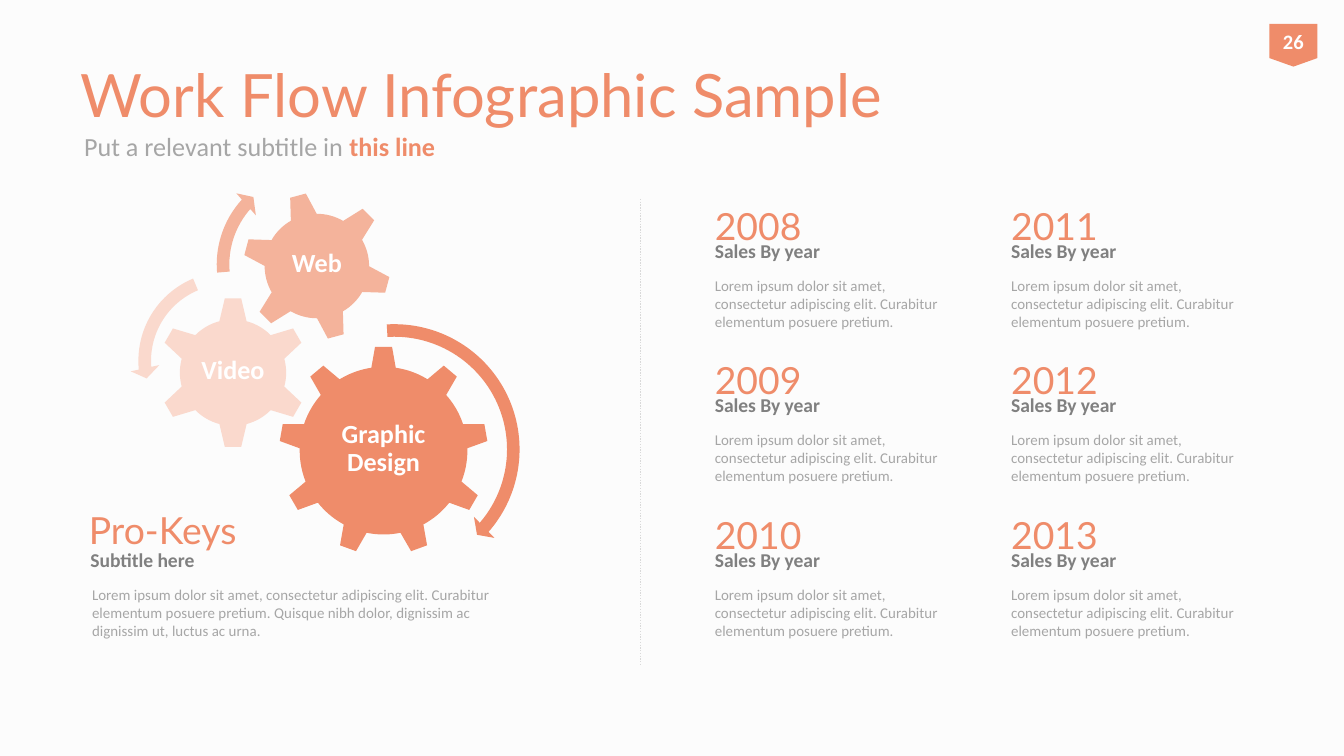
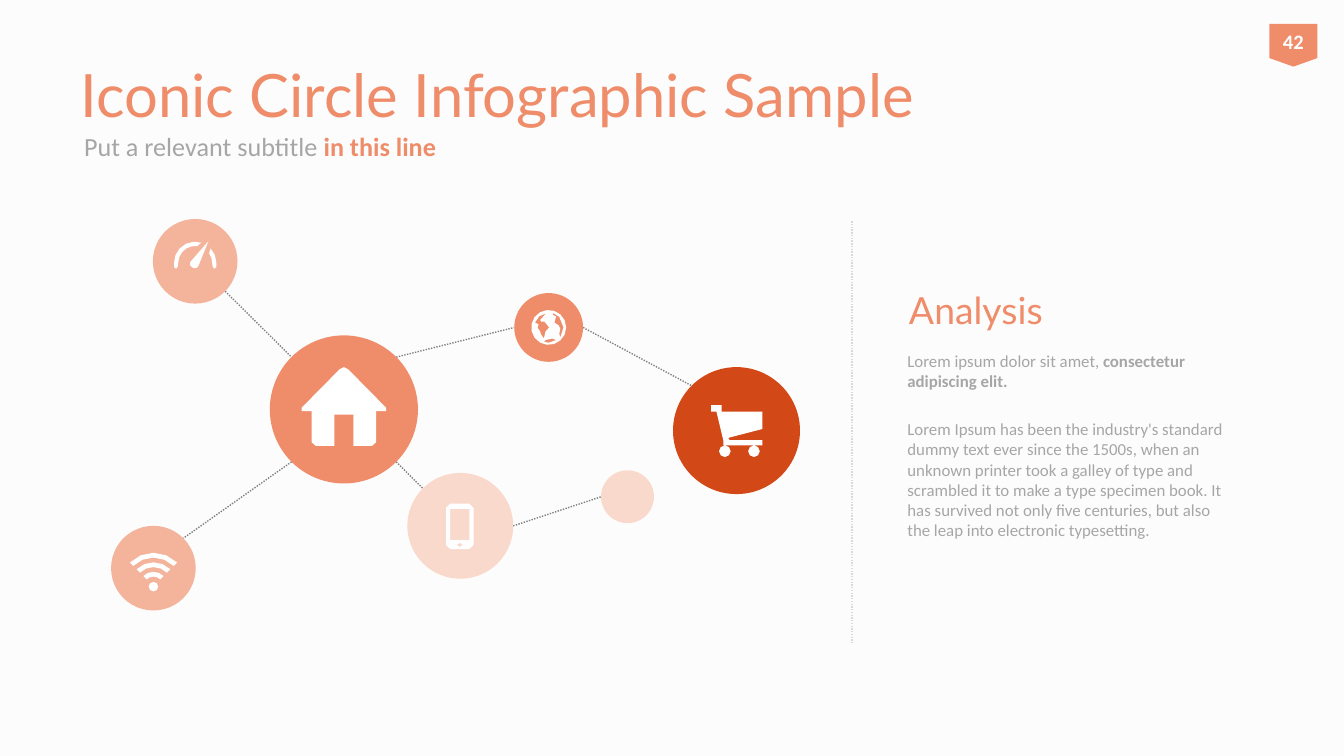
from math import ceil, cos, radians, sin

from lxml.etree import SubElement
from pptx import Presentation
from pptx.dml.color import RGBColor
from pptx.enum.dml import MSO_LINE
from pptx.enum.shapes import MSO_CONNECTOR, MSO_SHAPE
from pptx.enum.text import MSO_ANCHOR, PP_ALIGN
from pptx.oxml.ns import qn
from pptx.util import Cm, Pt

COLORS = {
    "paper": "FCFCFC", "white": "FFFFFF", "coral": "EF8C6A", "salmon": "F4B39B",
    "blush": "FAD9CD", "rust": "D34817", "text": "A6A6A6", "dark": "808080",
    "divider": "D9D9D9",
}
RGB = {name: RGBColor.from_string(value) for name, value in COLORS.items()}


def write(shape, paragraphs, size, color, font="Calibri", bold=False, emphasis=None,
          align=PP_ALIGN.LEFT, anchor=MSO_ANCHOR.TOP, inset=None):
    """Fill a shape with paragraphs; a paragraph is a plain run and maybe a bold one."""
    frame = shape.text_frame
    frame.word_wrap = True
    frame.vertical_anchor = anchor
    if inset is not None:
        frame.margin_left = frame.margin_right = Cm(inset)
        frame.margin_top = frame.margin_bottom = Cm(inset)
    for number, (plain, *strong) in enumerate(paragraphs):
        paragraph = frame.add_paragraph() if number else frame.paragraphs[0]
        if number:
            paragraph.space_before = Pt(15)
        paragraph.alignment = align
        paragraph.font.size = Pt(size)
        paragraph.font.name = font
        paragraph.font.bold = bold
        paragraph.font.color.rgb = RGB[color]
        paragraph.add_run().text = plain
        for words in strong:
            run = paragraph.add_run()
            run.text = words
            run.font.bold = True
            run.font.color.rgb = RGB[emphasis or color]
    return frame


def arc(x, y, radius, start, end):
    """Points along an arc, in degrees clockwise from the right."""
    step = 45 if radius < 0.15 else 24
    steps = max(1, ceil(abs(end - start) / step))
    angles = [radians(start + (end - start) * i / steps) for i in range(steps + 1)]
    return [(x + radius * cos(a), y + radius * sin(a)) for a in angles]


prs = Presentation()
prs.slide_width, prs.slide_height = Cm(25.4), Cm(14.29)
painted = []  # (shape, colour) pairs, all filled at the end
lines = []  # (slide, start, end, colour)

# Frame shared by both slides
frames = [
    ("Work Flow Infographic Sample", "Put a relevant subtitle in ", "this line",
     "26", 15.85, 8.81, (12.1, 3.76, 12.55)),
    ("Iconic Circle Infographic Sample", "Put a relevant subtitle ", "in this line",
     "42", 22.86, 22.86, (16.1, 4.18, 12.17)),
]
slides = []
for title, subtitle, ending, page, title_width, subtitle_width, divider in frames:
    slide = prs.slides.add_slide(prs.slide_layouts[6])
    slide.background.fill.solid()
    slide.background.fill.fore_color.rgb = RGB["paper"]
    write(slide.shapes.add_textbox(Cm(1.27), Cm(0.58), Cm(title_width), Cm(2.39)),
          [[title]], 32, "coral", "Lato", anchor=MSO_ANCHOR.MIDDLE)
    write(slide.shapes.add_textbox(Cm(1.34), Cm(2.26), Cm(subtitle_width), Cm(1.02)),
          [[subtitle, ending]], 14, "text", emphasis="coral", anchor=MSO_ANCHOR.MIDDLE)
    badge = slide.shapes.add_shape(MSO_SHAPE.FLOWCHART_OFFPAGE_CONNECTOR,
                                   Cm(23.99), Cm(0.45), Cm(0.91), Cm(0.81))
    write(badge, [[page]], 11, "white", bold=True, align=PP_ALIGN.CENTER,
          anchor=MSO_ANCHOR.MIDDLE, inset=0)
    painted.append((badge, "coral"))
    x, top, bottom = divider
    lines.append((slide, (x, top), (x, bottom), "divider"))
    slides.append(slide)
workflow, network = slides

# Work flow: gears with their turning arrows
gears = [
    ("Graphic Design", MSO_SHAPE.GEAR_9, 5.27, 6.54, 3.96, 0, "coral"),
    ("Video", MSO_SHAPE.GEAR_6, 2.97, 5.61, 2.87, 0, "blush"),
    ("Web", MSO_SHAPE.GEAR_6, 4.58, 3.62, 2.82, 345, "salmon"),
]
label_width, label_height, label_lift = 2.36, 2.03, 0.03
for name, kind, x, y, size, turn, color in gears:
    gear = workflow.shapes.add_shape(kind, Cm(x), Cm(y), Cm(size), Cm(size))
    gear.rotation = turn
    painted.append((gear, color))
    label = workflow.shapes.add_textbox(
        Cm(x + (size - label_width) / 2), Cm(y + (size - label_height) / 2 - label_lift),
        Cm(label_width), Cm(label_height))
    words = write(label, [[name]], 14, "white", bold=True, align=PP_ALIGN.CENTER,
                  anchor=MSO_ANCHOR.MIDDLE, inset=0.05)
    words.paragraphs[0].line_spacing = 0.9

turns = [
    (MSO_SHAPE.CIRCULAR_ARROW, 4.93, 5.97, 5.05, "coral",
     (0.047, 2.99, 24.593, 159.898, 0.055)),
    (MSO_SHAPE.LEFT_CIRCULAR_ARROW, 2.46, 4.98, 3.68, "blush",
     (0.065, 4.3, 104.891, 148.378, 0.075)),
    (MSO_SHAPE.CIRCULAR_ARROW, 3.94, 3.02, 3.96, "salmon",
     (0.06, 3.941, 133.138, 105.082, 0.07)),
]
for kind, x, y, size, color, adjustments in turns:
    arrow = workflow.shapes.add_shape(kind, Cm(x), Cm(y), Cm(size), Cm(size))
    for i, value in enumerate(adjustments):
        arrow.adjustments[i] = value
    painted.append((arrow, color))

# Work flow: yearly cards and the key card under the gears
lorem = ("Lorem ipsum dolor sit amet, consectetur adipiscing elit. "
         "Curabitur elementum posuere pretium.")
first_row, row_pitch = 3.71, 2.92
cards = [(13.26 + 5.6 * (i // 3), first_row + row_pitch * (i % 3), 0, 0,
          str(2008 + i), "Sales By year", lorem, 4.8) for i in range(6)]
cards.append((1.43, first_row + 2 * row_pitch, 0.08, 0.03, "Pro-Keys", "Subtitle here",
              lorem + " Quisque nibh dolor, dignissim ac dignissim ut, luctus ac urna.", 8.2))
for x, y, lift, indent, heading, subheading, body, body_width in cards:
    write(workflow.shapes.add_textbox(Cm(x), Cm(y - lift), Cm(3.94), Cm(1.04)),
          [[heading]], 20, "coral", "Lato")
    write(workflow.shapes.add_textbox(Cm(x + indent), Cm(y + 0.68), Cm(4.14), Cm(0.56)),
          [[subheading]], 10.5, "dark", bold=True)
    write(workflow.shapes.add_textbox(Cm(x + 2 * indent), Cm(y + 1.39), Cm(body_width), Cm(1.27)),
          [[body]], 8, "text")

# Network: circles as (centre x, centre y, diameter, colour)
circles = {
    "dot": (11.86, 9.39, 1.0, "blush"),
    "cart": (13.92, 8.14, 2.4, "rust"),
    "home": (6.5, 7.74, 2.8, "coral"),
    "phone": (8.7, 9.94, 2.0, "blush"),
    "speed": (3.69, 4.94, 1.6, "salmon"),
    "globe": (10.37, 6.19, 1.3, "coral"),
    "wifi": (2.9, 10.74, 1.6, "salmon"),
}
# Each link leaves and meets its circles at an angle
links = [
    ("speed", 45, "home", 225), ("home", 135, "wifi", 315),
    ("home", 45, "phone", 225), ("home", 315, "globe", 180),
    ("globe", 0, "cart", 225), ("phone", 0, "dot", 180),
]
for start, leave, end, meet in links:
    ends = []
    for name, angle in ((start, leave), (end, meet)):
        x, y, diameter, _ = circles[name]
        ends.append(arc(x, y, diameter / 2, angle, angle)[0])
    lines.append((network, *ends, "dark"))

for slide, start, end, color in lines:
    line = slide.shapes.add_connector(MSO_CONNECTOR.STRAIGHT, *map(Cm, (*start, *end)))
    line.line.color.rgb = RGB[color]
    line.line.width = Pt(0.75)
    line.line.dash_style = MSO_LINE.ROUND_DOT
    SubElement(line._element.spPr, qn("a:effectLst"))

# Icon outlines, in cm from the centre of their circle
half_house = [(0, -0.8), (0.08, -0.76), (0.8, -0.03), (0.8, 0.03), (0.61, 0.03),
              (0.61, 0.62), (0.53, 0.69), (0.18, 0.69), (0.18, 0.1)]
icons = {
    "home": [half_house + [(-x, y) for x, y in reversed(half_house[1:])]],
    "cart": [
        arc(-0.22, 0.39, 0.11, 0, 360),
        arc(0.33, 0.39, 0.11, 0, 360),
        [(-0.13, 0.13), (0.49, -0.03), (0.49, -0.36), (-0.28, -0.36), (-0.28, -0.48),
         (-0.48, -0.48), (-0.48, -0.36), (-0.38, -0.36), (-0.25, 0.18), (-0.25, 0.28),
         (0.49, 0.28), (0.49, 0.18), (-0.13, 0.18), (-0.16, 0.15)],
    ],
    "phone": [
        [(-0.19, -0.42), (0.17, -0.42), (0.25, -0.34), (0.25, 0.36), (0.17, 0.44),
         (-0.19, 0.44), (-0.27, 0.36), (-0.27, -0.34)],
        [(-0.07, 0.36), (-0.01, 0.4), (0.05, 0.36), (-0.01, 0.32)],
        [(-0.19, -0.32), (-0.19, 0.27), (0.17, 0.27), (0.17, -0.32)],
    ],
    "speed": [
        [(-0.09, 0.01), (-0.1, 0.07), (-0.05, 0.12), (0.02, 0.13), (0.06, 0.09),
         (0.25, -0.38)],
        arc(0, 0.03, 0.4, 180, 287) + arc(0, 0.03, 0.32, 277, 180)
        + [(-0.33, 0.1), (-0.36, 0.14), (-0.4, 0.11)],
        arc(0, 0.03, 0.4, 317, 360) + [(0.4, 0.11), (0.36, 0.14), (0.33, 0.1)]
        + arc(0, 0.03, 0.32, 360, 325),
    ],
    "globe": [
        arc(0, 0, 0.33, 0, 360),
        [(0.28, 0), (0.22, 0.19), (0.2, 0.12), (0.22, 0.03), (0.19, -0.04),
         (0.11, -0.09), (0.14, -0.21), (0.07, -0.24), (0.09, -0.27), (0.2, -0.2)],
        [(-0.04, -0.27), (-0.11, -0.2), (-0.16, -0.14), (-0.14, -0.11), (-0.08, -0.11),
         (0.01, 0), (-0.06, 0.08), (-0.09, 0.21), (-0.14, 0.14), (-0.17, 0.06),
         (-0.21, 0.01), (-0.19, -0.06), (-0.26, -0.09), (-0.18, -0.21)],
        [(-0.09, 0.27), (-0.06, 0.24), (0.07, 0.21), (0.14, 0.24), (0, 0.29)],
    ],
    "wifi": [arc(0, 0.35, 0.09, 0, 360)] + [
        arc(0, 0.34, radius, 225, 315) + arc(0, 0.34, radius - 0.09, 315, 225)
        for radius in (0.63, 0.45, 0.27)],
}
for name, (x, y, diameter, color) in circles.items():
    circle = network.shapes.add_shape(MSO_SHAPE.OVAL, Cm(x - diameter / 2),
                                      Cm(y - diameter / 2), Cm(diameter), Cm(diameter))
    painted.append((circle, color))
    if name not in icons:
        continue
    outlines = [[(Cm(px), Cm(py)) for px, py in outline] for outline in icons[name]]
    builder = network.shapes.build_freeform(*outlines[0][0])
    for i, outline in enumerate(outlines):
        if i:
            builder.move_to(*outline[0])
        builder.add_line_segments(outline[1:], close=True)
    painted.append((builder.convert_to_shape(Cm(x), Cm(y)), "white"))

# Network: analysis text
write(network.shapes.add_textbox(Cm(16.9), Cm(6.5), Cm(6.6), Cm(4.04)), [
    ["Lorem ipsum dolor sit amet, ", "consectetur adipiscing elit."],
    ["Lorem Ipsum has been the industry's standard dummy text ever since the 1500s, when "
     "an unknown printer took a galley of type and scrambled it to make a type specimen "
     "book. It has survived not only five centuries, but also the leap into electronic "
     "typesetting."],
], 9, "text")
write(network.shapes.add_textbox(Cm(16.93), Cm(5.11), Cm(7.01), Cm(1.47)),
      [["Analysis"]], 20, "coral", "Lato", anchor=MSO_ANCHOR.MIDDLE)

for shape, color in painted:
    shape.shadow.inherit = False
    shape.fill.solid()
    shape.fill.fore_color.rgb = RGB[color]
    shape.line.fill.background()

prs.save("out.pptx")
